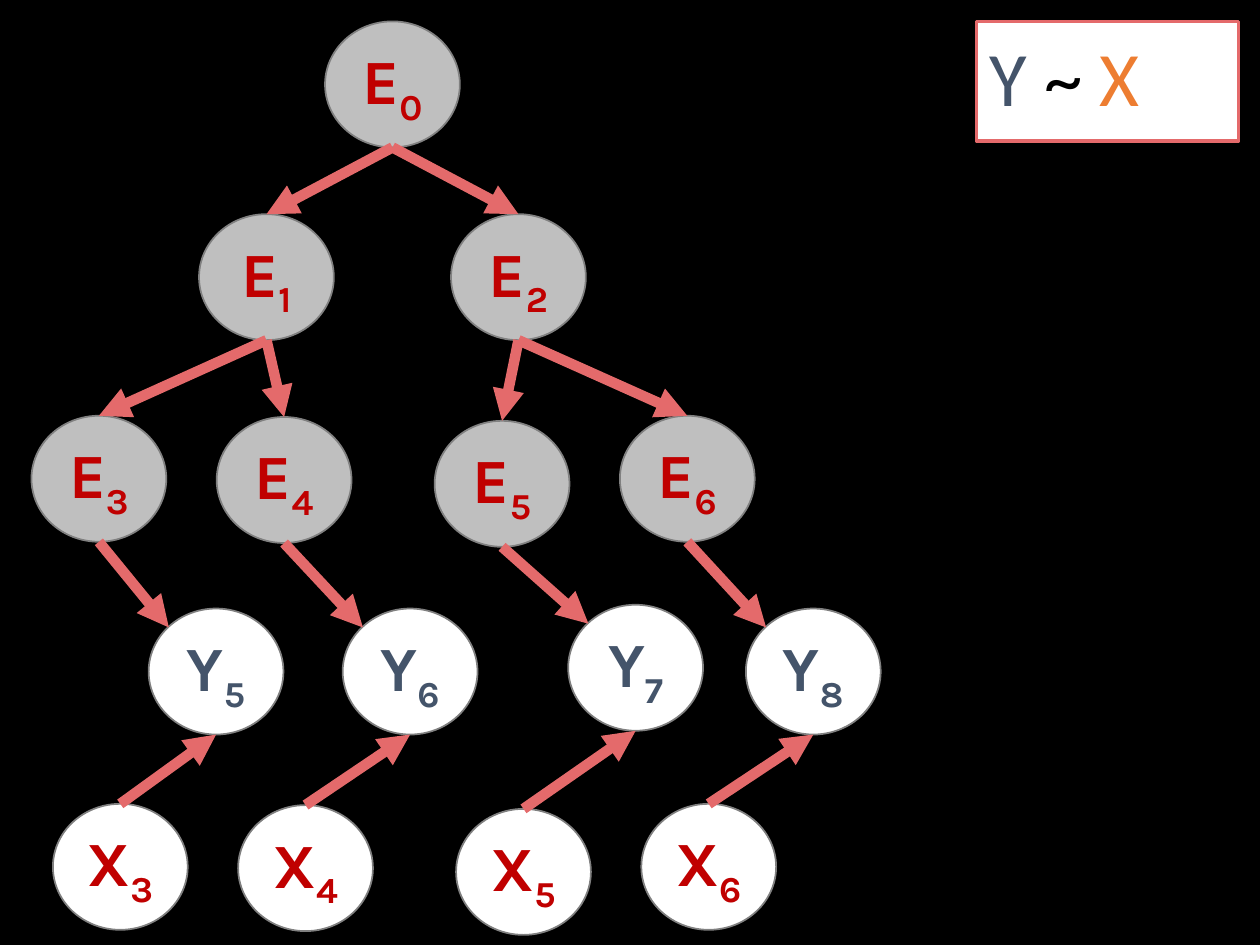
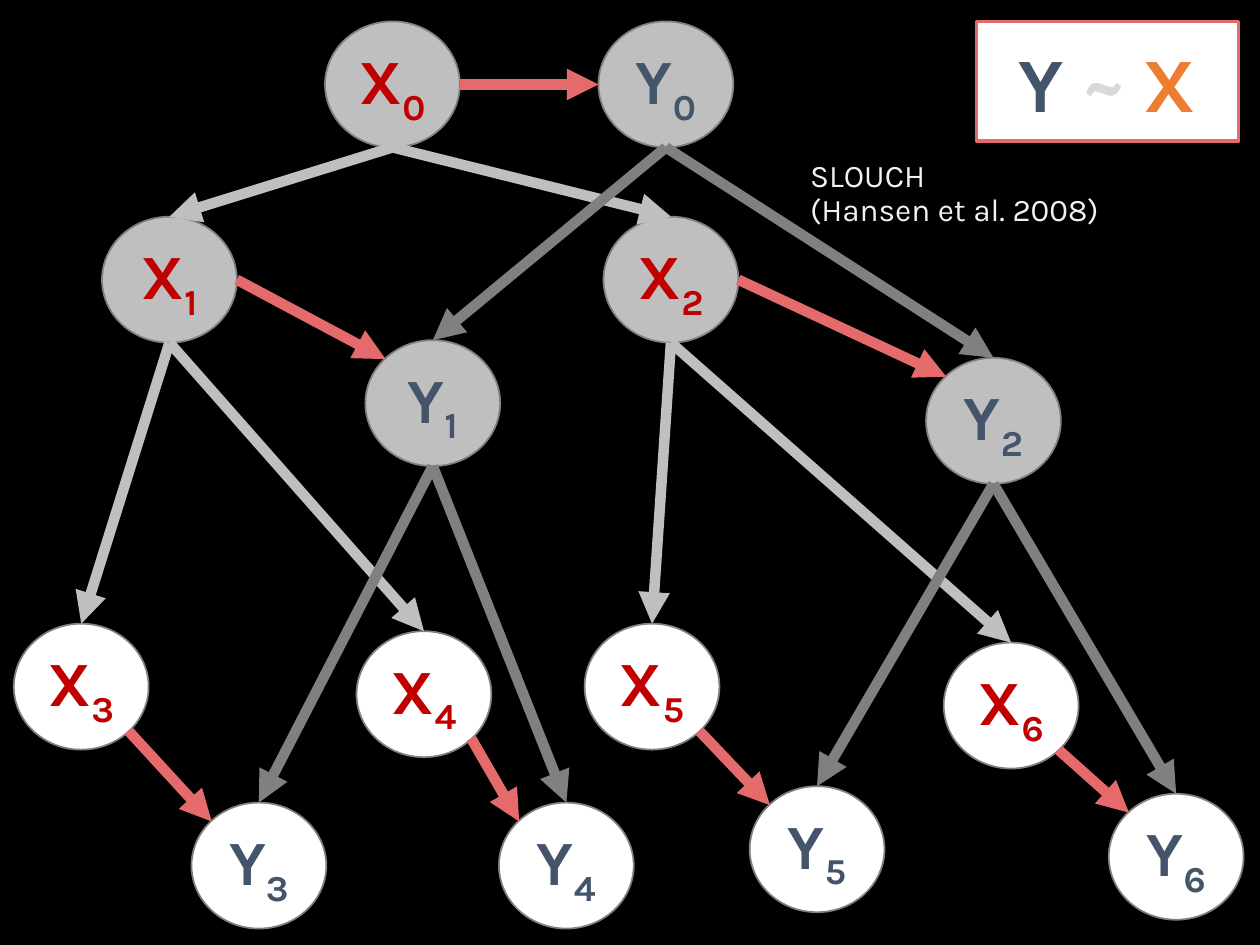
from dataclasses import dataclass

from lxml import etree
from pptx import Presentation
from pptx.dml.color import RGBColor
from pptx.enum import shapes, text
from pptx.oxml import ns
from pptx.util import Inches, Pt


@dataclass(frozen=True)
class Theme:
    font: str = "Karla"
    title_font: str = "Calibri"
    background: str = "000000"
    ancestor: str = "BFBFBF"
    tip: str = "FFFFFF"
    outline: str = "808080"
    accent: str = "E46A6B"
    slate: str = "44546A"
    red: str = "C00000"
    orange: str = "ED7D31"
    black: str = "000000"
    faint: str = "D9D9D9"
    caption: str = "F2F2F2"
    node_size: int = 36
    model_size: int = 44
    caption_size: int = 18
    arrow_width: int = 6


THEME = Theme()
LETTER_COLOURS = {"E": THEME.red, "X": THEME.red, "Y": THEME.slate}
NODE_W, NODE_H = 1.07, 1.0
FULL_SLIDE = (0, 0, 10, 7.5)
MODEL_BOX = (7.75, 0.17, 2.08, 0.95)
CAPTION_BOX = (6.33, 0.92, 3.6, 1.25)

# Points on a node's ellipse, as shares of its width and height
SITES = {
    "top": (0.5, 0), "bottom": (0.5, 1), "left": (0, 0.5), "right": (1, 0.5),
    "top left": (0.15, 0.15), "bottom right": (0.85, 0.85),
}
DESCENT = ("bottom", "top")
# Parent and child numbers in the seven-node tree
BRANCHES = [(0, 1), (0, 2), (1, 3), (1, 4), (2, 5), (2, 6)]


def rgb(value):
    return RGBColor.from_string(value)


def paint(sp, fill, line, width):
    sp.fill.solid()
    sp.fill.fore_color.rgb = rgb(fill)
    sp.line.color.rgb = rgb(line)
    sp.line.width = Pt(width)


def place(sp, box):
    sp.left, sp.top, sp.width, sp.height = map(Inches, box)


def add_run(p, words, size, colour, font=THEME.font, bold=False):
    r = p.add_run()
    r.text = words
    r.font.name, r.font.size, r.font.bold = font, Pt(size), bold
    r.font.color.rgb = rgb(colour)
    return r


def add_node(slide, name, left, top, fill):
    sp = slide.shapes.add_shape(shapes.MSO_SHAPE.OVAL, Inches(left), Inches(top),
                                Inches(NODE_W), Inches(NODE_H))
    sp.shadow.inherit = False
    paint(sp, fill, THEME.outline, 1)
    tf = sp.text_frame
    tf.word_wrap = False
    tf.vertical_anchor = text.MSO_ANCHOR.MIDDLE
    p = tf.paragraphs[0]
    p.alignment = text.PP_ALIGN.CENTER
    letter, number = name
    colour = LETTER_COLOURS[letter]
    add_run(p, letter, THEME.node_size, colour, bold=True)
    r = add_run(p, number, THEME.node_size, colour, bold=True)
    r._r.get_or_add_rPr().set("baseline", "-25000")


def add_arrow(slide, start, end, colour):
    line = slide.shapes.add_connector(shapes.MSO_CONNECTOR.STRAIGHT,
                                      *map(Inches, (*start, *end)))
    line.line.color.rgb = rgb(colour)
    line.line.width = Pt(THEME.arrow_width)
    etree.SubElement(line.line._get_or_add_ln(), ns.qn("a:tailEnd"), type="triangle")
    etree.SubElement(line._element.spPr, ns.qn("a:effectLst"))


def draw_graph(slide, box, nodes, ancestors, arrows):
    """Draw nodes {name: (left, top)} and arrows (from, to, sites, colour)."""
    left, top = box[:2]
    for name, (x, y) in nodes.items():
        fill = THEME.ancestor if name in ancestors else THEME.tip
        add_node(slide, name, left + x, top + y, fill)

    def point(name, site):
        x, y = nodes[name]
        across, down = SITES[site]
        return left + x + across * NODE_W, top + y + down * NODE_H

    for tail, head, (out_site, in_site), colour in arrows:
        add_arrow(slide, point(tail, out_site), point(head, in_site), colour)


def branches(letter, colour):
    return [(f"{letter}{a}", f"{letter}{b}", DESCENT, colour) for a, b in BRANCHES]


def fill_model_box(sp, box, font, bold, tilde, align):
    """White box stating the model Y ~ X."""
    place(sp, box)
    paint(sp, THEME.tip, THEME.accent, 2)
    tf = sp.text_frame
    tf.word_wrap = True
    tf.auto_size = text.MSO_AUTO_SIZE.NONE
    tf.vertical_anchor = text.MSO_ANCHOR.MIDDLE
    p = tf.paragraphs[0]
    p.alignment = align
    for words, colour in (("Y", THEME.slate), (" ~ ", tilde), ("X", THEME.orange)):
        add_run(p, words, THEME.model_size, colour, font, bold)


def fill_caption(sp, box, lines):
    place(sp, box)
    tf = sp.text_frame
    tf.text = "\v".join(lines)
    tf.auto_size = text.MSO_AUTO_SIZE.NONE
    tf.vertical_anchor = text.MSO_ANCHOR.MIDDLE
    p = tf.paragraphs[0]
    p.alignment = text.PP_ALIGN.LEFT
    p.line_spacing = 0.9
    for r in p.runs:
        r.font.name, r.font.size = THEME.font, Pt(THEME.caption_size)
        r.font.color.rgb = rgb(THEME.caption)


def residual_slide(slide):
    """Only the residuals E evolve along the tree."""
    errors = {"E0": (2.58, 0.17), "E1": (1.58, 1.7), "E2": (3.58, 1.7),
              "E3": (0.25, 3.3), "E4": (1.72, 3.31),
              "E5": (3.45, 3.34), "E6": (4.92, 3.3)}
    responses = {"Y5": (1.18, 4.83), "Y6": (2.72, 4.83),
                 "Y7": (4.51, 4.8), "Y8": (5.92, 4.83)}
    # Each predictor sits a fixed step below its residual
    predictors = {f"X{i}": (errors[f"E{i}"][0] + 0.17, errors[f"E{i}"][1] + 3.08)
                  for i in range(3, 7)}
    arrows = branches("E", THEME.accent)
    for i, response in enumerate(responses, start=3):
        arrows += [(f"E{i}", response, ("bottom", "top left"), THEME.accent),
                   (f"X{i}", response, ("top", "bottom"), THEME.accent)]
    draw_graph(slide, FULL_SLIDE, errors | responses | predictors, errors, arrows)

    title = slide.shapes.title
    fill_model_box(title, MODEL_BOX, THEME.title_font, False, THEME.black,
                   text.PP_ALIGN.LEFT)
    title.text_frame.paragraphs[0].line_spacing = 0.9


def joint_slide(slide):
    """X and Y both evolve along the tree, with X acting on Y."""
    nodes = {"X0": (2.58, 0.17), "X1": (0.81, 1.72), "X2": (4.79, 1.72),
             "X3": (0.11, 4.95), "X4": (2.83, 5.01),
             "X5": (4.64, 4.95), "X6": (7.49, 5.1),
             "Y0": (4.75, 0.17), "Y1": (2.9, 2.7), "Y2": (7.35, 2.84),
             "Y3": (1.52, 6.37), "Y4": (3.96, 6.37),
             "Y5": (5.95, 6.24), "Y6": (8.8, 6.3)}
    ancestors = {f"{letter}{i}" for letter in "XY" for i in range(3)}
    arrows = branches("X", THEME.ancestor) + branches("Y", THEME.outline)
    for i in range(7):
        sites = ("right" if i < 3 else "bottom right", "top left" if i else "left")
        arrows.append((f"X{i}", f"Y{i}", sites, THEME.accent))
    draw_graph(slide, FULL_SLIDE, nodes, ancestors, arrows)

    model = slide.shapes.add_shape(shapes.MSO_SHAPE.RECTANGLE,
                                   *map(Inches, MODEL_BOX))
    model.shadow.inherit = False
    fill_model_box(model, MODEL_BOX, THEME.font, True, THEME.faint,
                   text.PP_ALIGN.CENTER)
    fill_caption(slide.shapes.title, CAPTION_BOX, ["SLOUCH", "(Hansen et al. 2008)"])


def main():
    prs = Presentation()
    prs.slide_width, prs.slide_height = Inches(10), Inches(7.5)
    title_only = prs.slide_layouts[5]
    for build in (residual_slide, joint_slide):
        slide = prs.slides.add_slide(title_only)
        slide.background.fill.solid()
        slide.background.fill.fore_color.rgb = rgb(THEME.background)
        build(slide)
    prs.save("out.pptx")


if __name__ == "__main__":
    main()
